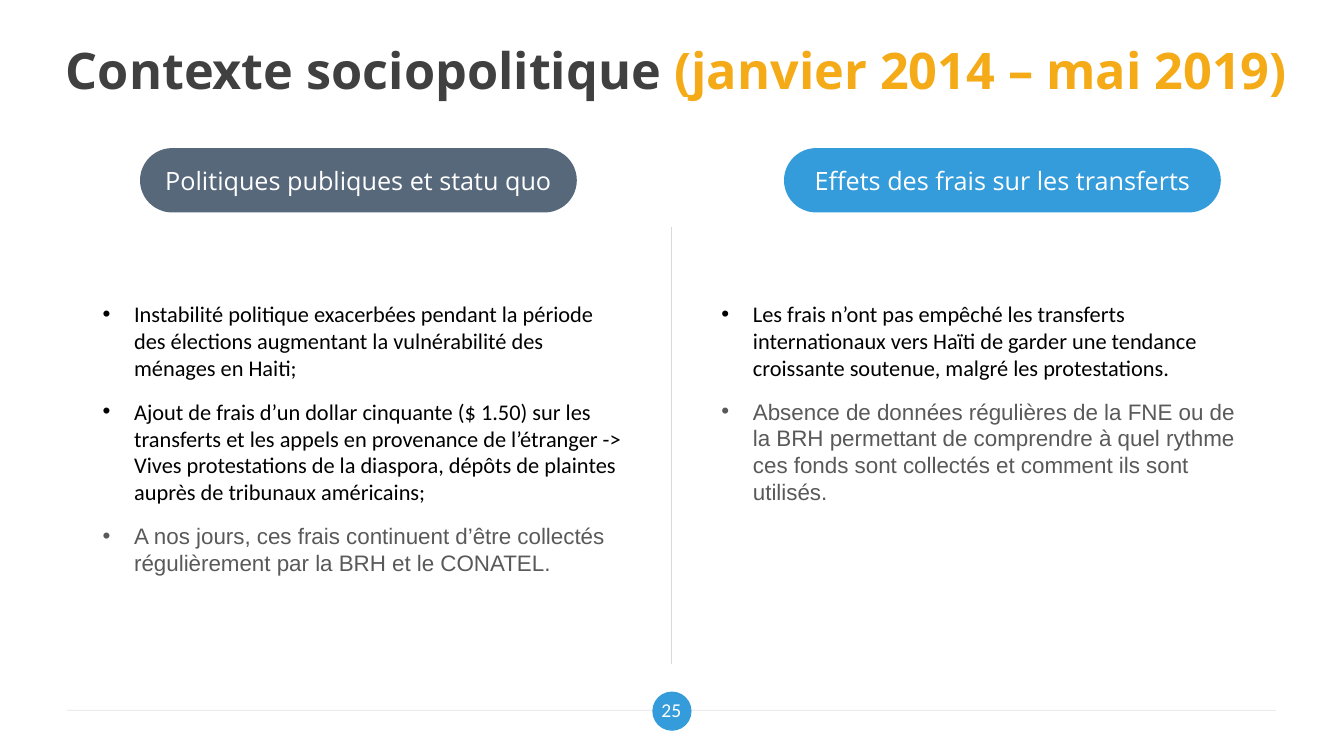
from lxml.etree import SubElement
from pptx import Presentation
from pptx.dml.color import RGBColor
from pptx.enum.shapes import MSO_CONNECTOR, MSO_SHAPE
from pptx.enum.text import MSO_ANCHOR, PP_ALIGN
from pptx.oxml.ns import qn
from pptx.util import Pt

WHITE = RGBColor(0xFF, 0xFF, 0xFF)
BLACK = RGBColor(0x00, 0x00, 0x00)
CHARCOAL = RGBColor(0x40, 0x40, 0x40)
GREY = RGBColor(0x59, 0x59, 0x59)
RULE_GREY = RGBColor(0xD9, 0xD9, 0xD9)
SLATE = RGBColor(0x57, 0x68, 0x7B)
BLUE = RGBColor(0x35, 0x9C, 0xDB)
AMBER = RGBColor(0xF4, 0xAB, 0x17)


class SlideBuilder:
    heading_font = "Open Sans"
    body_font = "Calibri"
    remark_font = "Arial"
    bullet_indent = Pt(22.5)

    def __init__(self, slide):
        self.shapes = slide.shapes

    def rule(self, x1, y1, x2, y2, opacity=None):
        """Draw a thin grey line; opacity is a percentage."""
        line = self.shapes.add_connector(
            MSO_CONNECTOR.STRAIGHT, Pt(x1), Pt(y1), Pt(x2), Pt(y2))
        line.line.color.rgb = RULE_GREY
        line.line.width = Pt(0.75)
        properties = line._element.spPr
        if opacity is not None:
            color = properties.find(".//" + qn("a:srgbClr"))
            SubElement(color, qn("a:alpha"), val=str(opacity * 1000))
        SubElement(properties, qn("a:effectLst"))

    def filled(self, kind, x, y, width, height, color):
        shape = self.shapes.add_shape(kind, Pt(x), Pt(y), Pt(width), Pt(height))
        shape.shadow.inherit = False
        shape.fill.solid()
        shape.fill.fore_color.rgb = color
        shape.line.fill.background()
        return shape

    def pill(self, x, y, width, height, color, text):
        pill = self.filled(MSO_SHAPE.ROUNDED_RECTANGLE, x, y, width, height, color)
        pill.adjustments[0] = 0.5
        pill.text_frame.vertical_anchor = MSO_ANCHOR.MIDDLE
        self.centred(pill.text_frame, [(text, WHITE)], self.heading_font, 18)

    def label(self, x, y, width, height, parts, font, size, bold=False):
        """Add a centred text box; parts are (text, colour) pairs."""
        frame = self.text_frame(x, y, width, height)
        frame.vertical_anchor = MSO_ANCHOR.MIDDLE
        frame.margin_left = frame.margin_right = Pt(9.5)
        frame.margin_top = frame.margin_bottom = Pt(5)
        self.centred(frame, parts, font, size, bold)

    def bullets(self, x, y, width, height, facts, remark):
        """List black facts followed by one grey remark."""
        frame = self.text_frame(x, y, width, height)
        items = [(fact, self.body_font, BLACK) for fact in facts]
        items.append((remark, self.remark_font, GREY))
        for index, (text, font, color) in enumerate(items):
            paragraph = frame.paragraphs[0] if index == 0 else frame.add_paragraph()
            paragraph.text = text
            paragraph.space_after = Pt(12)
            properties = paragraph._p.get_or_add_pPr()
            properties.set("marL", str(self.bullet_indent))
            properties.set("indent", str(-self.bullet_indent))
            SubElement(properties, qn("a:buFont"), typeface="Arial")
            SubElement(properties, qn("a:buChar"), char="•")
            self.style(paragraph.font, font, 16)
            paragraph.font.color.rgb = color

    def text_frame(self, x, y, width, height):
        frame = self.shapes.add_textbox(
            Pt(x), Pt(y), Pt(width), Pt(height)).text_frame
        frame.word_wrap = True
        return frame

    def centred(self, frame, parts, font, size, bold=False):
        paragraph = frame.paragraphs[0]
        paragraph.alignment = PP_ALIGN.CENTER
        self.style(paragraph.font, font, size, bold)
        for text, color in parts:
            run = paragraph.add_run()
            run.text = text
            run.font.color.rgb = color

    def style(self, font, name, size, bold=False):
        font.name = name
        font.size = Pt(size)
        font.bold = bold


def main():
    deck = Presentation()
    deck.slide_width, deck.slide_height = Pt(960), Pt(540)
    builder = SlideBuilder(deck.slides.add_slide(deck.slide_layouts[6]))

    builder.rule(48, 507.5, 911.5, 507.5, opacity=50)
    builder.filled(MSO_SHAPE.OVAL, 466, 494, 28, 28, BLUE)
    builder.label(21, 21.5, 924.5, 56,
                  [("Contexte sociopolitique ", CHARCOAL),
                   ("(janvier 2014 – mai 2019)", AMBER)],
                  builder.heading_font, 36, bold=True)
    builder.label(459.5, 492, 40, 30, [("25", WHITE)], builder.body_font, 14)
    builder.rule(479.5, 162, 479.5, 474)

    columns = [
        (100, SLATE, "Politiques publiques et statu quo", 66.25, 206,
         ["Instabilité politique exacerbées pendant la période des élections "
          "augmentant la vulnérabilité des ménages en Haiti;",
          "Ajout de frais d’un dollar cinquante ($ 1.50) sur les transferts et "
          "les appels en provenance de l’étranger -> Vives protestations de la "
          "diaspora, dépôts de plaintes auprès de tribunaux américains;"],
         "A nos jours, ces frais continuent d’être collectés régulièrement par "
         "la BRH et le CONATEL."),
        (560, BLUE, "Effets des frais sur les transferts", 508.25, 155,
         ["Les frais n’ont pas empêché les transferts internationaux vers Haïti "
          "de garder une tendance croissante soutenue, malgré les protestations."],
         "Absence de données régulières de la FNE ou de la BRH permettant de "
         "comprendre à quel rythme ces fonds sont collectés et comment ils sont "
         "utilisés."),
    ]
    for pill_x, color, heading, list_x, list_height, facts, remark in columns:
        builder.pill(pill_x, 105.75, 312, 46, color, heading)
        builder.bullets(list_x, 211, 385, list_height, facts, remark)

    deck.save("out.pptx")


if __name__ == "__main__":
    main()
